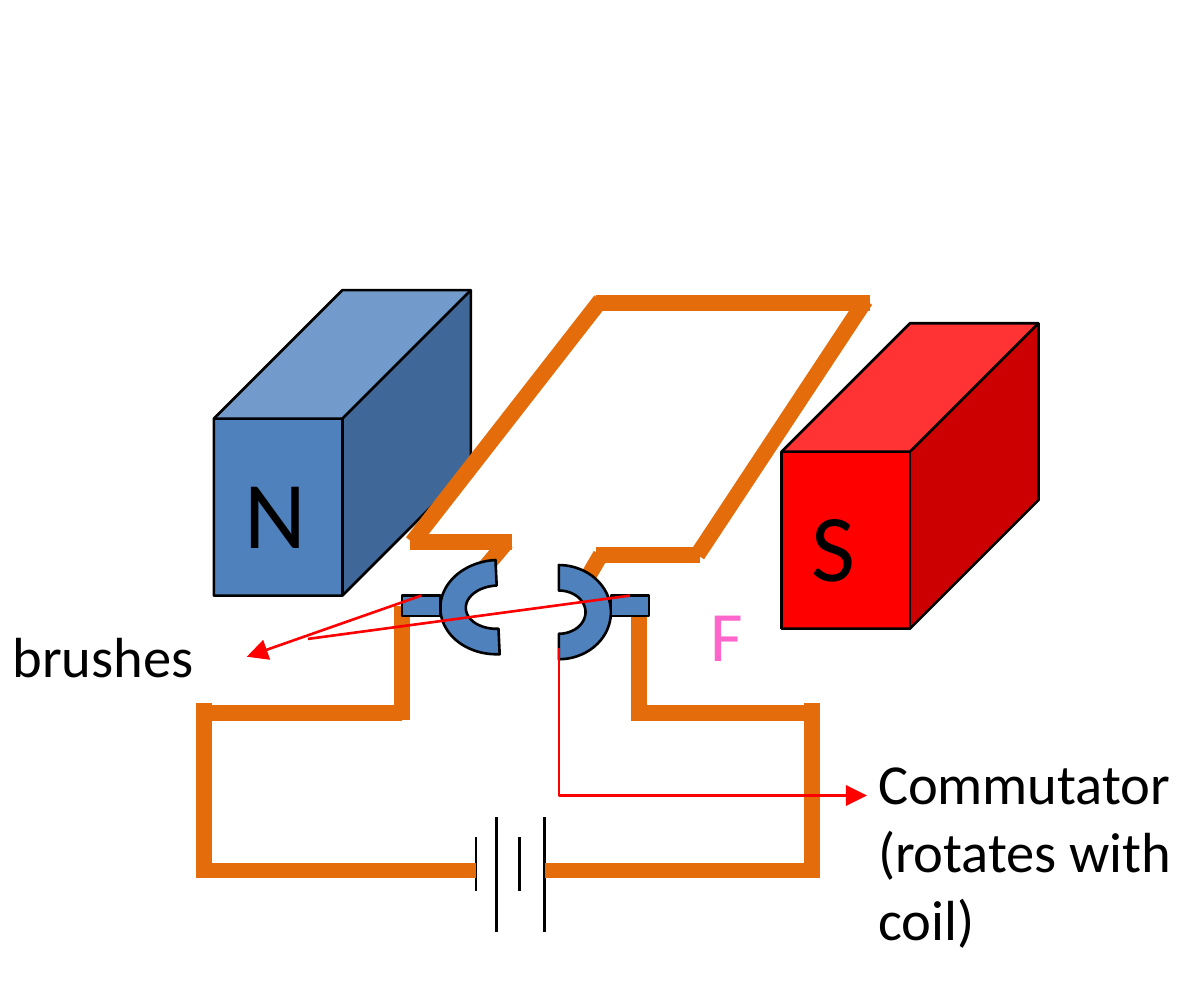
from dataclasses import dataclass

from lxml import etree
from pptx import Presentation
from pptx import util as u
from pptx.dml.color import RGBColor
from pptx.enum import shapes, text
from pptx.oxml.ns import qn

PX = 9144  # EMU per px, 100 px to the inch


@dataclass(frozen=True)
class Theme:
    font: str = "Calibri"
    black: str = "000000"
    blue: str = "4F81BD"
    red: str = "FF0000"
    copper: str = "E46C0A"
    pink: str = "FF66CC"
    thin: float = 0.75
    wire: float = 4.5
    pole_size: int = 27
    force_size: int = 20
    note_size: int = 16


@dataclass(frozen=True)
class Block:
    kind: shapes.MSO_SHAPE
    x: int
    y: int
    w: int
    h: int
    fill: str
    rotation: float = 0


@dataclass(frozen=True)
class Label:
    words: str
    x: int
    y: int
    w: int
    h: int
    size: int
    color: str


@dataclass(frozen=True)
class Line:
    x1: int
    y1: int
    x2: int
    y2: int
    color: str
    width: float


T = Theme()
prs = Presentation()
prs.slide_width, prs.slide_height = 473 * PX, 394 * PX
s = prs.slides.add_slide(prs.slide_layouts[6])


def rgb(color: str) -> RGBColor:
    return RGBColor.from_string(color)


def draw_block(b: Block):
    sp = s.shapes.add_shape(b.kind, b.x * PX, b.y * PX, b.w * PX, b.h * PX)
    sp.shadow.inherit = False
    sp.rotation = b.rotation
    sp.fill.solid()
    sp.fill.fore_color.rgb = rgb(b.fill)
    sp.line.color.rgb = rgb(T.black)
    sp.line.width = u.Pt(T.thin)
    return sp


def draw_label(label: Label) -> None:
    sp = s.shapes.add_textbox(label.x * PX, label.y * PX, label.w * PX, label.h * PX)
    tf = sp.text_frame
    tf.word_wrap = True
    tf.auto_size = text.MSO_AUTO_SIZE.SHAPE_TO_FIT_TEXT
    tf.margin_left = tf.margin_right = 5 * PX
    tf.margin_top = tf.margin_bottom = 2 * PX
    tf.text = label.words
    font = tf.paragraphs[0].runs[0].font
    font.name, font.size = T.font, u.Pt(label.size)
    font.color.rgb = rgb(label.color)


def draw_line(line: Line, kind=shapes.MSO_CONNECTOR.STRAIGHT, arrow: bool = False):
    c = s.shapes.add_connector(kind, line.x1 * PX, line.y1 * PX, line.x2 * PX, line.y2 * PX)
    c.line.color.rgb = rgb(line.color)
    c.line.width = u.Pt(line.width)
    if arrow:
        etree.SubElement(c.line._get_or_add_ln(), qn("a:tailEnd"), type="triangle")
    etree.SubElement(c._element.spPr, qn("a:effectLst"))
    return c


# Magnets with their poles
for pole, x, y, fill in (("N", 84, 114, T.blue), ("S", 307, 127, T.red)):
    magnet = draw_block(Block(shapes.MSO_SHAPE.CUBE, x, y, 101, 120, fill))
    magnet.adjustments[0] = 0.5
    draw_label(Label(pole, x + 7, y + 62, 33, 50, T.pole_size, T.black))

# Battery: short and long plates in turn
for x, top, bottom in ((187, 329, 350), (195, 321, 366), (204, 329, 350), (214, 321, 366)):
    draw_line(Line(x, top, x, bottom, T.black, T.thin))

# Coil and outer circuit
COIL = [
    (340, 118, 274, 218), (234, 119, 342, 119), (236, 118, 162, 213),
    (161, 213, 201, 213), (275, 218, 234, 218), (199, 213, 188, 226),
    (236, 218, 229, 230),
]
CIRCUIT = [
    (158, 280, 80, 280), (80, 276, 80, 345), (79, 342, 187, 342),
    (214, 342, 322, 342), (319, 276, 319, 345), (321, 280, 248, 280),
    (251, 242, 251, 280),
]
for ends in COIL + CIRCUIT:
    draw_line(Line(*ends, T.copper, T.wire))
brush_wire = draw_line(Line(158, 238, 158, 283, T.copper, T.wire))

# Split-ring commutator
for x, y, w, h, rotation in ((177, 216, 37, 45, 267.5), (201, 220, 37, 41, 90)):
    half = draw_block(Block(shapes.MSO_SHAPE.BLOCK_ARC, x, y, w, h, T.blue, rotation))
    half.adjustments[2] = 0.27

# Brushes
left_brush, right_brush = (
    draw_block(Block(shapes.MSO_SHAPE.RECTANGLE, x, 234, 15, 8, T.blue)) for x in (158, 240)
)
brush_wire.begin_connect(left_brush, 1)

# Labels
for label in (
    Label("F", 274, 230, 19, 39, T.force_size, T.pink),
    Label("Commutator (rotates with coil)", 340, 292, 132, 86, T.note_size, T.black),
    Label("brushes", 0, 242, 97, 32, T.note_size, T.black),
):
    draw_label(label)

# Pointer to the commutator: one bend, turned to run down and then right
pointer = draw_line(Line(309, 223, 251, 344, T.red, T.thin), shapes.MSO_CONNECTOR.ELBOW, arrow=True)
pointer._element.spPr.find(qn("a:prstGeom")).set("prst", "bentConnector2")
pointer._element.spPr.find(qn("a:xfrm")).set("rot", str(270 * 60000))

# Pointers from the brushes
left_pointer = draw_line(Line(166, 234, 97, 258, T.red, T.thin), arrow=True)
left_pointer.begin_connect(left_brush, 0)
right_pointer = draw_line(Line(247, 234, 121, 251, T.red, T.thin))
right_pointer.begin_connect(right_brush, 0)

prs.save("out.pptx")
